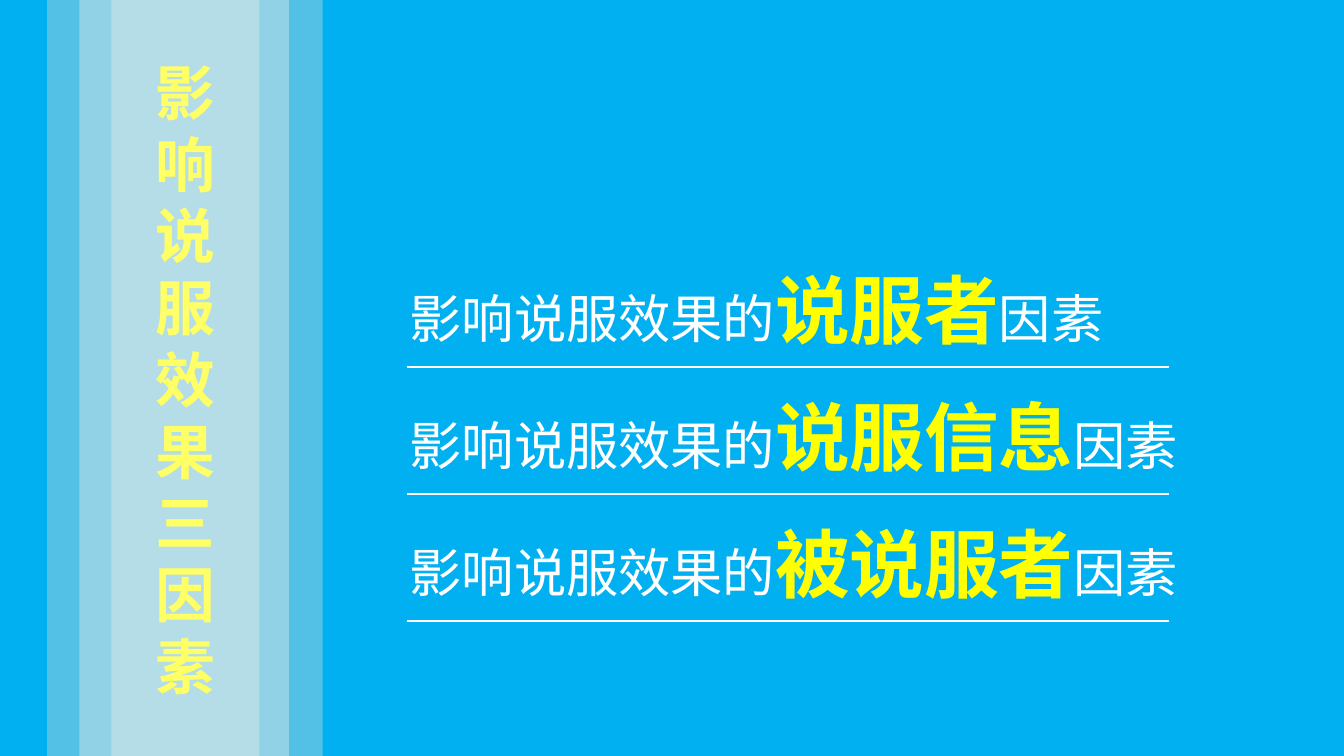
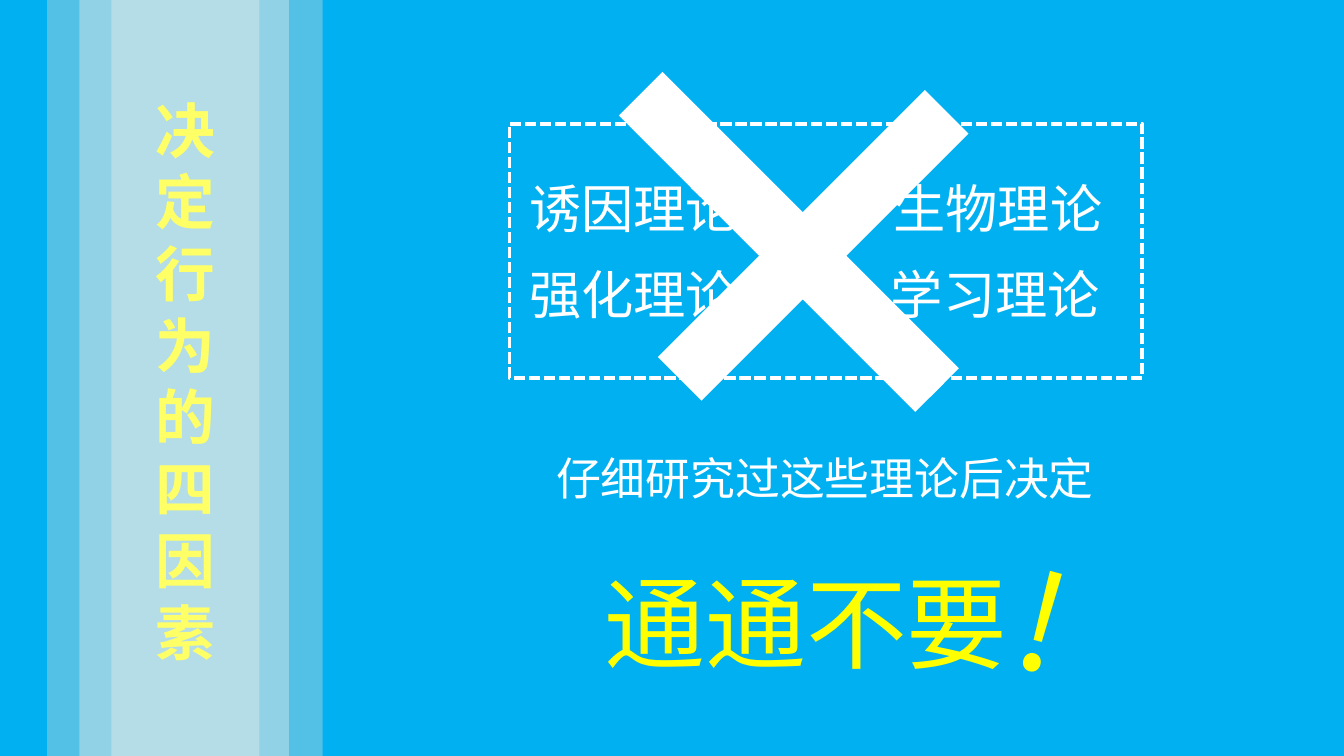
import pptx
import pptx.util
import pptx.dml.color
import pptx.enum.dml
import pptx.enum.shapes
import pptx.oxml.ns
from lxml import etree

Inches, Pt = pptx.util.Inches, pptx.util.Pt
RGB = pptx.dml.color.RGBColor
RECT = pptx.enum.shapes.MSO_SHAPE.RECTANGLE
qn = pptx.oxml.ns.qn

# Colours and fonts
SKY = RGB(0x00, 0xB0, 0xF0)
WHITE = RGB(0xFF, 0xFF, 0xFF)
YELLOW = RGB(0xFF, 0xFF, 0x00)
LEMON = RGB(0xFF, 0xFF, 0x66)
TEAL = RGB(0x93, 0xCD, 0xDD)
PALE = RGB(0xB7, 0xDE, 0xE8)
SC, JP = "Noto Sans CJK SC", "Noto Sans CJK JP"

# Content
FACTORS = ["说服者", "说服信息", "被说服者"]
LEAD, TAIL = "影响说服效果的", "因素"
THEORIES = [  # text, left, top, width
    ("生物理论", 6.55, 1.23, 1.92),
    ("学习理论", 6.53, 1.87, 2.02),
    ("诱因理论", 3.84, 1.23, 2.21),
    ("强化理论", 3.84, 1.87, 2.17),
]
BANDS = [  # left, top, width, height, colour, opacity %
    (0.35, -0.01, 2.05, 5.66, TEAL, 57),
    (0.59, 0, 1.56, 5.65, PALE, 63),
    (0.83, -0.02, 1.1, 5.66, PALE, 97),
]
CROSS = [  # left, top, width, height, angle
    (5.64, 0.24, 0.46, 3.12, 315),
    (5.82, 0.42, 0.46, 2.81, 225),
]


def add_rect(shapes, box, fill=None, alpha=100):
    rect = shapes.add_shape(RECT, *map(Inches, box))
    rect.shadow.inherit = False
    rect.line.fill.background()
    if fill is None:
        rect.fill.background()
    else:
        rect.fill.solid()
        rect.fill.fore_color.rgb = fill
        if alpha < 100:
            tint = rect.fill._xPr.find(qn("a:solidFill"))[0]
            etree.SubElement(tint, qn("a:alpha"), val=str(alpha * 1000))
    return rect


def add_text(shapes, box, paras, font=SC):
    """Each paragraph is a list of runs: (text, size, colour, bold)."""
    label = shapes.add_textbox(*map(Inches, box))
    frame = label.text_frame
    frame.word_wrap = True
    top = max(run[1] for run in paras[0])
    frame.margin_top = Inches(0.05) + Pt(top * 0.08)
    frame.margin_bottom = 0
    for i, runs in enumerate(paras):
        para = frame.add_paragraph() if i else frame.paragraphs[0]
        para.line_spacing = Pt(1.2 * max(run[1] for run in runs))
        for text, size, colour, bold in runs:
            run = para.add_run()
            run.text = text
            run.font.size = Pt(size)
            run.font.bold = bold
            run.font.color.rgb = colour
            run.font.name = font
            etree.SubElement(run.font._element, qn("a:ea"), typeface=font)
    return label


def add_rule(shapes, left, top, right):
    rule = shapes.add_connector(
        pptx.enum.shapes.MSO_CONNECTOR.STRAIGHT,
        Inches(left), Inches(top), Inches(right), Inches(top))
    rule.line.color.rgb = WHITE
    rule.line.width = Pt(1)
    etree.SubElement(rule._element.spPr, qn("a:effectLst"))


def add_side(slide, top, height, title):
    """Layered bands with the title running down them."""
    side = slide.shapes.add_group_shape().shapes
    for *box, colour, alpha in BANDS:
        add_rect(side, box, colour, alpha)
    add_text(side, (1.06, top, 0.55, height),
             [[(part, 32, LEMON, True)] for part in title])


def add_slide(deck):
    slide = deck.slides.add_slide(deck.slide_layouts[6])
    slide.background.fill.solid()
    slide.background.fill.fore_color.rgb = SKY
    return slide


def build_factors(deck):
    slide = add_slide(deck)
    add_side(slide, 0.33, 4.95, ["影响说服效果三因素"])
    for i, factor in enumerate(FACTORS):
        shift = 0.945 * i
        add_rule(slide.shapes, 3.03, 2.73 + shift, 8.7)
        add_text(slide.shapes, (2.95, 1.87 + shift, 5.98, 0.77),
                 [[(LEAD, 28, WHITE, False), (factor, 40, YELLOW, True),
                   (TAIL, 28, WHITE, False)]])


def build_theories(deck):
    slide = add_slide(deck)
    add_text(slide.shapes, (4.4, 4.06, 4.3, 1.01),
             [[("通通不要", 54, YELLOW, False)]], JP)

    # Theories in a dashed frame, crossed out
    group = slide.shapes.add_group_shape().shapes
    for text, left, top, width in THEORIES:
        add_text(group, (left, top, width, 0.57),
                 [[(text, 28, WHITE, False)]])
    frame = add_rect(group, (3.79, 0.92, 4.71, 1.89))
    frame.line.color.rgb = WHITE
    frame.line.width = Pt(2)
    frame.line.dash_style = pptx.enum.dml.MSO_LINE.SQUARE_DOT
    for *box, angle in CROSS:
        add_rect(group, box, WHITE).rotation = angle

    # Verdict
    add_text(slide.shapes, (4.04, 3.28, 6, 0.5),
             [[("仔细研究过这些理论后决定", 24, WHITE, False)]])
    mark = add_text(slide.shapes, (7.52, 3.93, 0.94, 1.31),
                    [[("!", 72, YELLOW, False)]], JP)
    mark.rotation = 15
    add_side(slide, 0.61, 4.41, ["决定行为的", "四因素"])


def main():
    deck = pptx.Presentation()
    deck.slide_width, deck.slide_height = Inches(10), Inches(5.625)
    build_factors(deck)
    build_theories(deck)
    deck.save("out.pptx")


if __name__ == "__main__":
    main()
